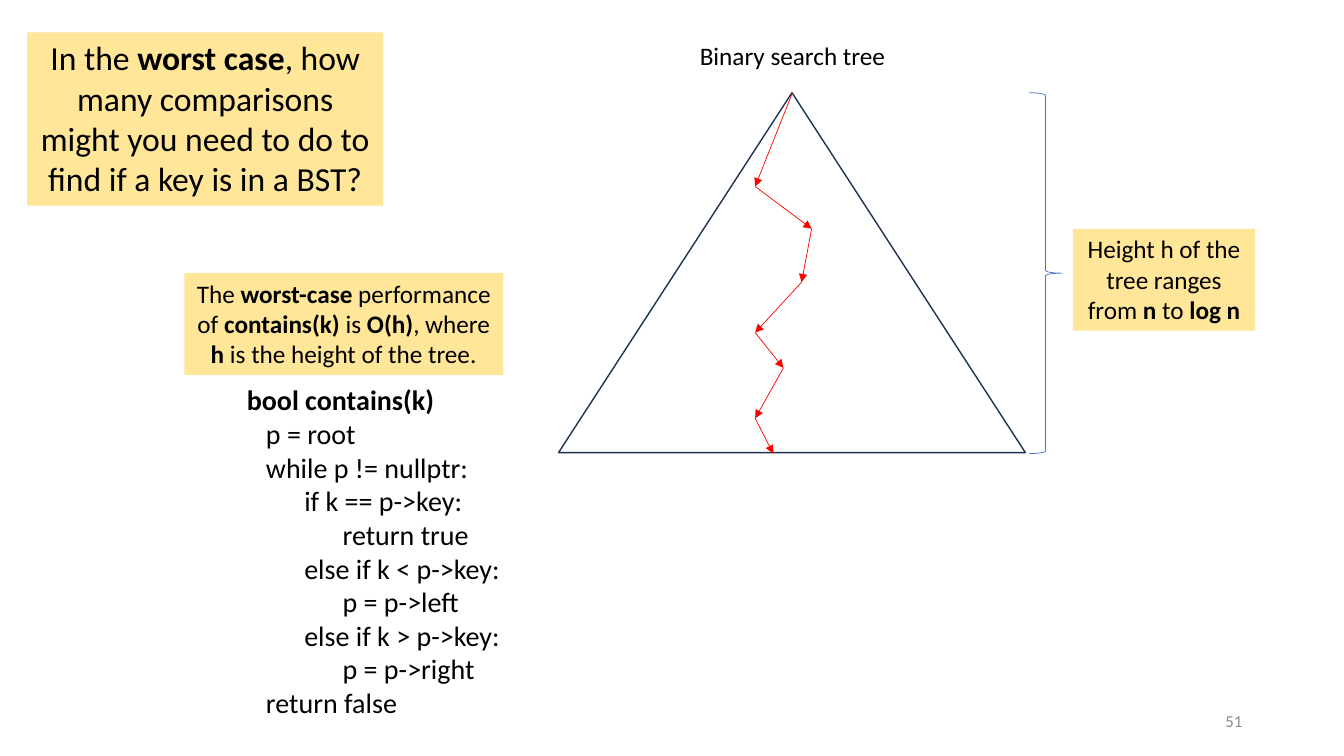
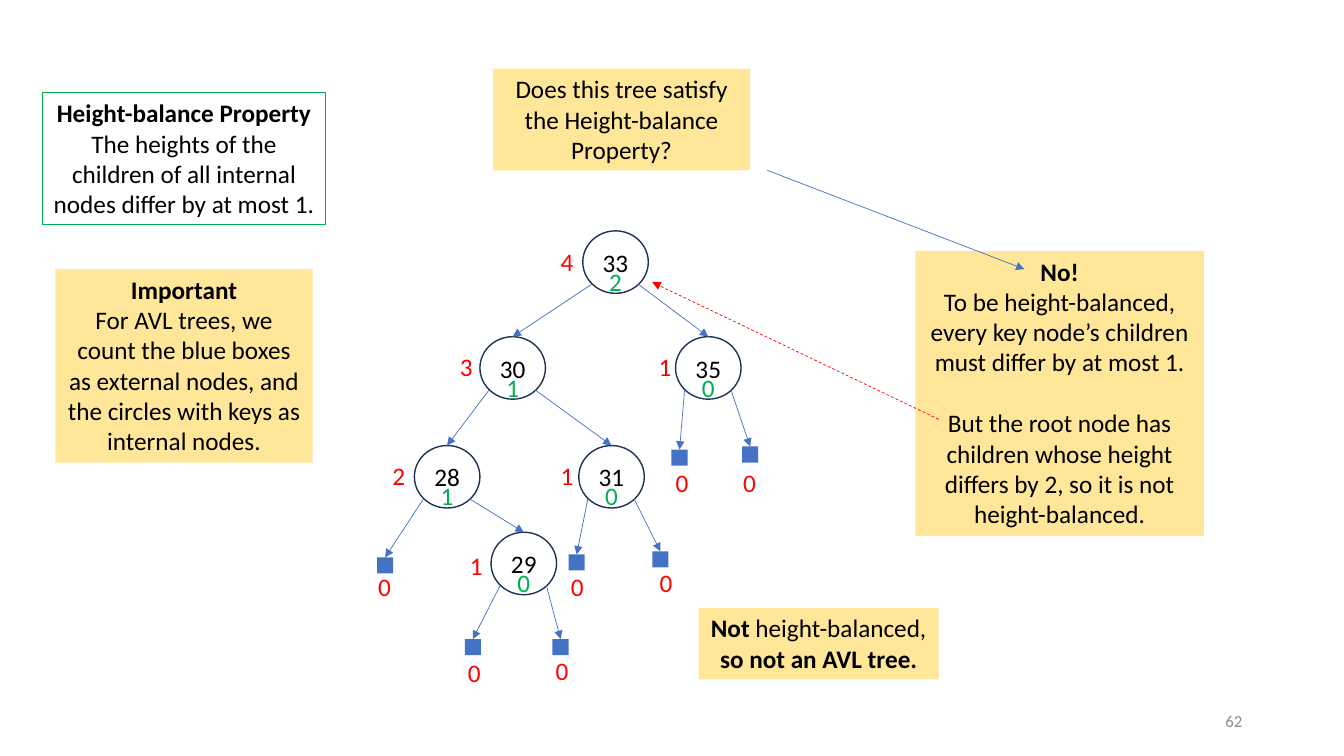
import pptx
import pptx.dml.color
import pptx.enum.dml
import pptx.enum.shapes
import pptx.enum.text
import pptx.oxml
import pptx.oxml.ns
import pptx.util

PX = 9144  # EMU in one px, 100 px to the inch
FONT = "Calibri"
HUES = {
    "ink": "000000", "gray": "8C8C8C", "sand": "FFE699", "navy": "1E3256",
    "blue": "4472C4", "red": "FF0000", "green": "00B050",
}
SHAPE = pptx.enum.shapes.MSO_SHAPE
ALIGN = pptx.enum.text.PP_ALIGN
ANCHOR = pptx.enum.text.MSO_ANCHOR


def hue(name):
    return pptx.dml.color.RGBColor.from_string(HUES[name])


def scale(*sizes):
    return [pptx.util.Emu(round(size * PX)) for size in sizes]


class Deck:
    """Holds the style and the current slide."""

    def __init__(self, wide, high):
        self.show = pptx.Presentation()
        self.show.slide_width, self.show.slide_height = scale(wide, high)
        self.slide = None

    def page(self, number):
        self.slide = self.show.slides.add_slide(self.show.slide_layouts[5])
        self.label((942, 695, 300, 40), str(number), 12, "gray", ALIGN.RIGHT, 10)

    def text(self, shape, lines, size=18, tint="ink", align=ALIGN.CENTER,
             anchor=ANCHOR.TOP, inset=10):
        """Fill a shape with paragraphs; words between stars are bold."""
        frame = shape.text_frame
        frame.word_wrap = True
        frame.auto_size = pptx.enum.text.MSO_AUTO_SIZE.NONE
        frame.vertical_anchor = anchor
        frame.margin_left, frame.margin_right = scale(inset, inset)
        frame.margin_top, frame.margin_bottom = scale(inset / 2, inset / 2)
        for row, line in enumerate(lines):
            para = frame.add_paragraph() if row else frame.paragraphs[0]
            para.alignment = align
            for part, words in enumerate(line.split("*")):
                if words:
                    run = para.add_run()
                    run.text = words
                    run.font.name = FONT
                    run.font.size = pptx.util.Pt(size)
                    run.font.bold = part % 2 == 1
                    run.font.color.rgb = hue(tint)
        return frame

    def paint(self, shape, fill=None, edge=None, width=1):
        if fill:
            shape.fill.solid()
            shape.fill.fore_color.rgb = hue(fill)
        else:
            shape.fill.background()
        if edge:
            shape.line.color.rgb = hue(edge)
            shape.line.width = pptx.util.Pt(width)
        else:
            shape.line.fill.background()

    def title(self, spot, line, size):
        shape = self.slide.shapes.title
        shape.left, shape.top, shape.width, shape.height = scale(*spot)
        self.paint(shape, "sand")
        self.text(shape, [line], size)

    def shape(self, kind, spot, fill=None, edge=None, width=1):
        shape = self.slide.shapes.add_shape(kind, *scale(*spot))
        shape.shadow.inherit = False
        self.paint(shape, fill, edge, width)
        return shape

    def note(self, spot, *lines, fill="sand", edge=None):
        shape = self.shape(SHAPE.RECTANGLE, spot, fill, edge, 0.75)
        return self.text(shape, lines)

    def label(self, spot, words, size=18, tint="ink", align=ALIGN.CENTER, inset=0):
        shape = self.slide.shapes.add_textbox(*scale(*spot))
        self.text(shape, [words], size, tint, align, ANCHOR.MIDDLE, inset)

    def digit(self, left, top, value, tint):
        self.label((left, top, 33, 40), str(value), tint=tint)

    def code(self, spot, rows):
        """Add code; each row is a depth and its words."""
        shape = self.slide.shapes.add_textbox(*scale(*spot))
        frame = self.text(shape, [words for _, words in rows], 20, align=ALIGN.LEFT)
        for para, (depth, _) in zip(frame.paragraphs, rows):
            indent = 38 * depth - 19 if depth else 0
            para._p.get_or_add_pPr().set("marL", str(indent * PX))

    def arrow(self, start, end, tint="blue", dash=False):
        line = self.slide.shapes.add_connector(
            pptx.enum.shapes.MSO_CONNECTOR.STRAIGHT, *scale(*start, *end))
        line.line.color.rgb = hue(tint)
        line.line.width = pptx.util.Pt(0.5)
        if dash:
            line.line.dash_style = pptx.enum.dml.MSO_LINE.DASH
        props = line._element.spPr
        head = pptx.oxml.parse_xml(
            f'<a:tailEnd {pptx.oxml.ns.nsdecls("a")} type="triangle"/>')
        props.find(pptx.oxml.ns.qn("a:ln")).append(head)
        props.append(pptx.oxml.parse_xml(
            f'<a:effectLst {pptx.oxml.ns.nsdecls("a")}/>'))


def search(deck):
    """Cost of a search in a binary search tree."""
    deck.page(51)
    deck.title((27, 32, 353, 172),
               "In the *worst case*, how many comparisons might you need to do "
               "to find if a key is in a BST?", 24)

    # Tree outline, search route and height
    deck.label((683, 35, 206, 40), "Binary search tree")
    deck.shape(SHAPE.ISOSCELES_TRIANGLE, (554, 92, 463, 357), edge="navy")
    route = [(786, 92), (749, 185), (805, 227), (795, 280),
             (749, 330), (777, 365), (749, 415), (767, 450)]
    for start, end in zip(route, route[1:]):
        deck.arrow(start, end, "red")
    deck.shape(SHAPE.RIGHT_BRACE, (1021, 92, 32, 358), edge="blue", width=0.5)
    deck.note((1064, 227, 181, 101),
              "Height h of the tree ranges from *n* to *log n*")

    # Search code and its cost
    deck.note((183, 271, 316, 101),
              "The *worst-case* performance of *contains(k)* is *O(h)*, where "
              "*h* is the height of the tree.")
    deck.code((235, 375, 300, 345), [
        (0, "*bool contains(k)*"),
        (1, "p = root"),
        (1, "while p != nullptr:"),
        (2, "if k == p->key:"),
        (3, "return true"),
        (2, "else if k < p->key:"),
        (3, "p = p->left"),
        (2, "else if k > p->key:"),
        (3, "p = p->right"),
        (1, "return false"),
    ])


def balance(deck):
    """Check of one tree against the height-balance rule."""
    deck.page(62)
    deck.title((489, 68, 255, 101),
               "Does this tree satisfy the Height-balance Property?", 18)

    wide, high, side = 65, 62, 16
    # key: left, top, height, height label spot, gap between children
    nodes = {
        33: (578, 229, 4, (546, 239), 2),
        30: (476, 334, 3, (446, 344), 1),
        35: (670, 334, 1, (643, 344), 0),
        28: (411, 442, 2, (379, 452), 1),
        31: (574, 442, 1, (546, 452), 0),
        29: (487, 528, 1, (456, 541), 0),
    }
    # name: left, top, height label spot
    leaves = {
        "a": (374, 553, (365, 562)),
        "b": (461, 634, (454, 647)),
        "c": (548, 634, (541, 645)),
        "d": (564, 550, (556, 562)),
        "e": (647, 547, (644, 558)),
        "f": (666, 446, (660, 459)),
        "g": (736, 443, (727, 459)),
    }
    # key: left child, right child
    pairs = {33: (30, 35), 30: (28, 31), 35: ("f", "g"),
             28: ("a", 29), 31: ("d", "e"), 29: ("b", "c")}

    # Nodes with heights in red and gaps in green
    for key, (left, top, rank, spot, gap) in nodes.items():
        ring = deck.shape(SHAPE.OVAL, (left, top, wide, high), edge="navy")
        deck.text(ring, [str(key)], anchor=ANCHOR.MIDDLE, inset=0)
        deck.digit(*spot, rank, "red")
        deck.digit(left + 16, top + 30, gap, "green")
    for left, top, spot in leaves.values():
        deck.shape(SHAPE.RECTANGLE, (left, top, side, side), "blue")
        deck.digit(*spot, 0, "red")

    # Edges run from the lower sides of a node to the tops of its children
    for key, pair in pairs.items():
        left, top = nodes[key][:2]
        for shift, child in zip((9, 55), pair):
            span = wide if child in nodes else side
            x, y = (nodes.get(child) or leaves[child])[:2]
            deck.arrow((left + shift, top + 53), (x + span / 2, y))

    # Rules
    deck.note((42, 92, 281, 131), "*Height-balance Property*",
              "The heights of the children of all internal nodes differ by at "
              "most 1.", fill=None, edge="green")
    deck.note((55, 267, 255, 192), "*Important*",
              "For AVL trees, we count the blue boxes as external nodes, and "
              "the circles with keys as internal nodes.")

    # Answer
    reply = deck.note(
        (908, 249, 286, 283), "*No!*",
        "To be height-balanced, every key node’s children must differ by at most 1.",
        "But the root node has children whose height differs by 2, so it is "
        "not height-balanced.")
    reply.paragraphs[2].space_before = pptx.util.Pt(22)
    deck.arrow((761, 169), (1016, 267))
    deck.arrow((931, 416), (647, 280), "red", dash=True)
    deck.note((693, 603, 238, 71), "*Not* height-balanced,", "*so not an AVL tree.*")


def main():
    deck = Deck(1333, 750)
    search(deck)
    balance(deck)
    deck.show.save("out.pptx")


if __name__ == "__main__":
    main()
